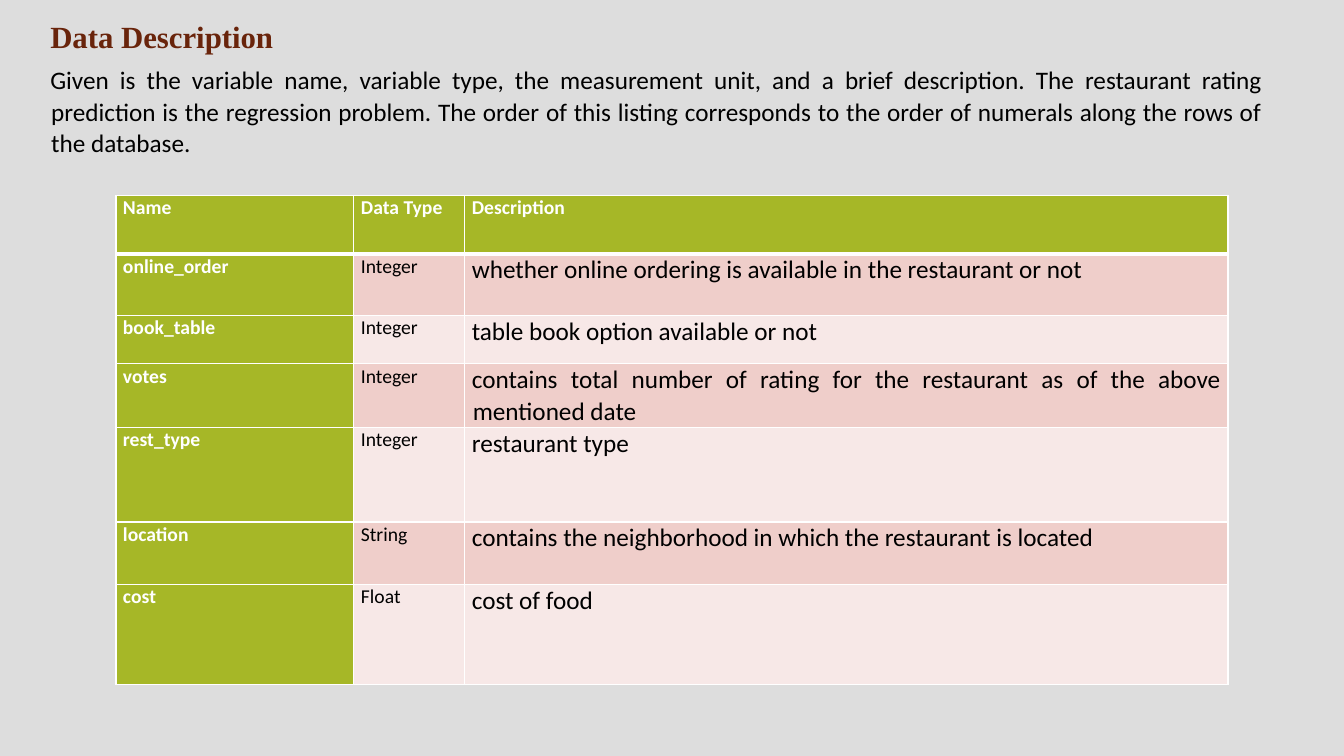
import pptx
import pptx.util
import pptx.dml.color
import pptx.enum.text
import pptx.oxml
import pptx.oxml.ns

Inches = pptx.util.Inches
Pt = pptx.util.Pt
RGBColor = pptx.dml.color.RGBColor
ALIGN = pptx.enum.text.PP_ALIGN

GREY = RGBColor(0xDD, 0xDD, 0xDD)
BROWN = RGBColor(0x69, 0x24, 0x0B)
BLACK = RGBColor(0, 0, 0)
WHITE = RGBColor(0xFF, 0xFF, 0xFF)
GREEN = RGBColor(0xA6, 0xB7, 0x27)
ROSE = RGBColor(0xEF, 0xCE, 0xCA)
PALE_ROSE = RGBColor(0xF7, 0xE8, 0xE7)

INTRO = (
    "Given is the variable name, variable type, the measurement unit, and a brief "
    "description. The restaurant rating prediction is the regression problem. The "
    "order of this listing corresponds to the order of numerals along the rows of "
    "the database."
)
COL_WIDTHS = [2.36, 1.1, 7.57]
ROWS = [  # height, then cell texts
    (0.58, "Name", "Data Type", "Description"),
    (0.61, "online_order", "Integer",
     "whether online ordering is available in the restaurant or not"),
    (0.48, "book_table", "Integer", "table book option available or not"),
    (0.49, "votes", "Integer",
     "contains total number of rating for the restaurant as of the above mentioned date"),
    (0.94, "rest_type", "Integer", "restaurant type"),
    (0.62, "location", "String",
     "contains the neighborhood in which the restaurant is located"),
    (0.99, "cost", "Float", "cost of food"),
]


def write(p, text, size=18, font="Calibri", color=BLACK, bold=False,
          align=ALIGN.JUSTIFY, before=0):
    """Fill one paragraph with formatted text."""
    p.alignment = align
    p.line_spacing = 1.03
    p.space_before = Pt(before)
    pPr = p._p.get_or_add_pPr()
    pPr.set("marL", str(Inches(0.01)))
    pPr.set("indent", str(-Inches(0.01)))
    r = p.add_run()
    r.text = text
    r.font.name = font
    r.font.size = Pt(size)
    r.font.bold = bold
    r.font.color.rgb = color


def set_borders(cell, bottom):
    tcPr = cell._tc.get_or_add_tcPr()
    for side, width in (("L", 1), ("R", 1), ("T", 1), ("B", bottom)):
        tcPr.append(pptx.oxml.parse_xml(
            f'<a:ln{side} {pptx.oxml.ns.nsdecls("a")} w="{Pt(width)}">'
            f'<a:solidFill><a:srgbClr val="{WHITE}"/></a:solidFill></a:ln{side}>'))


def add_intro(s, left, top, width, height):
    """Heading with the introductory paragraph below it."""
    box = s.shapes.add_textbox(Inches(left), Inches(top), Inches(width), Inches(height))
    tf = box.text_frame
    tf.word_wrap = True
    tf.auto_size = pptx.enum.text.MSO_AUTO_SIZE.SHAPE_TO_FIT_TEXT
    write(tf.paragraphs[0], "Data Description", size=22, font="Times New Roman",
          color=BROWN, bold=True, align=ALIGN.LEFT)
    write(tf.add_paragraph(), INTRO, before=6.3)


def add_variable_table(s, left, top, width, height):
    """Table of variables with a green header row and name column."""
    table = s.shapes.add_table(len(ROWS), len(COL_WIDTHS), Inches(left), Inches(top),
                               Inches(width), Inches(height)).table
    for column, col_width in zip(table.columns, COL_WIDTHS):
        column.width = Inches(col_width)
    for i, (row_height, *texts) in enumerate(ROWS):
        table.rows[i].height = Inches(row_height)
        for j, text in enumerate(texts):
            cell = table.cell(i, j)
            cell.margin_left = cell.margin_right = Inches(0.07)
            cell.margin_top = cell.margin_bottom = 0
            heading = i == 0 or j == 0
            # Borders come before the fill in the cell properties
            set_borders(cell, bottom=3 if i == 0 else 1)
            cell.fill.solid()
            cell.fill.fore_color.rgb = GREEN if heading else ROSE if i % 2 else PALE_ROSE
            write(cell.text_frame.paragraphs[0], text,
                  size=18 if i and j == 2 else 14,
                  color=WHITE if heading else BLACK, bold=heading)


def main():
    prs = pptx.Presentation()
    prs.slide_width = Inches(13.33)
    prs.slide_height = Inches(7.5)
    s = prs.slides.add_slide(prs.slide_layouts[6])
    s.background.fill.solid()
    s.background.fill.fore_color.rgb = GREY
    add_variable_table(s, 1.15, 1.94, 11.03, 4.83)
    add_intro(s, 0.4, 0.12, 12.22, 1.49)
    prs.save("out.pptx")


if __name__ == "__main__":
    main()
